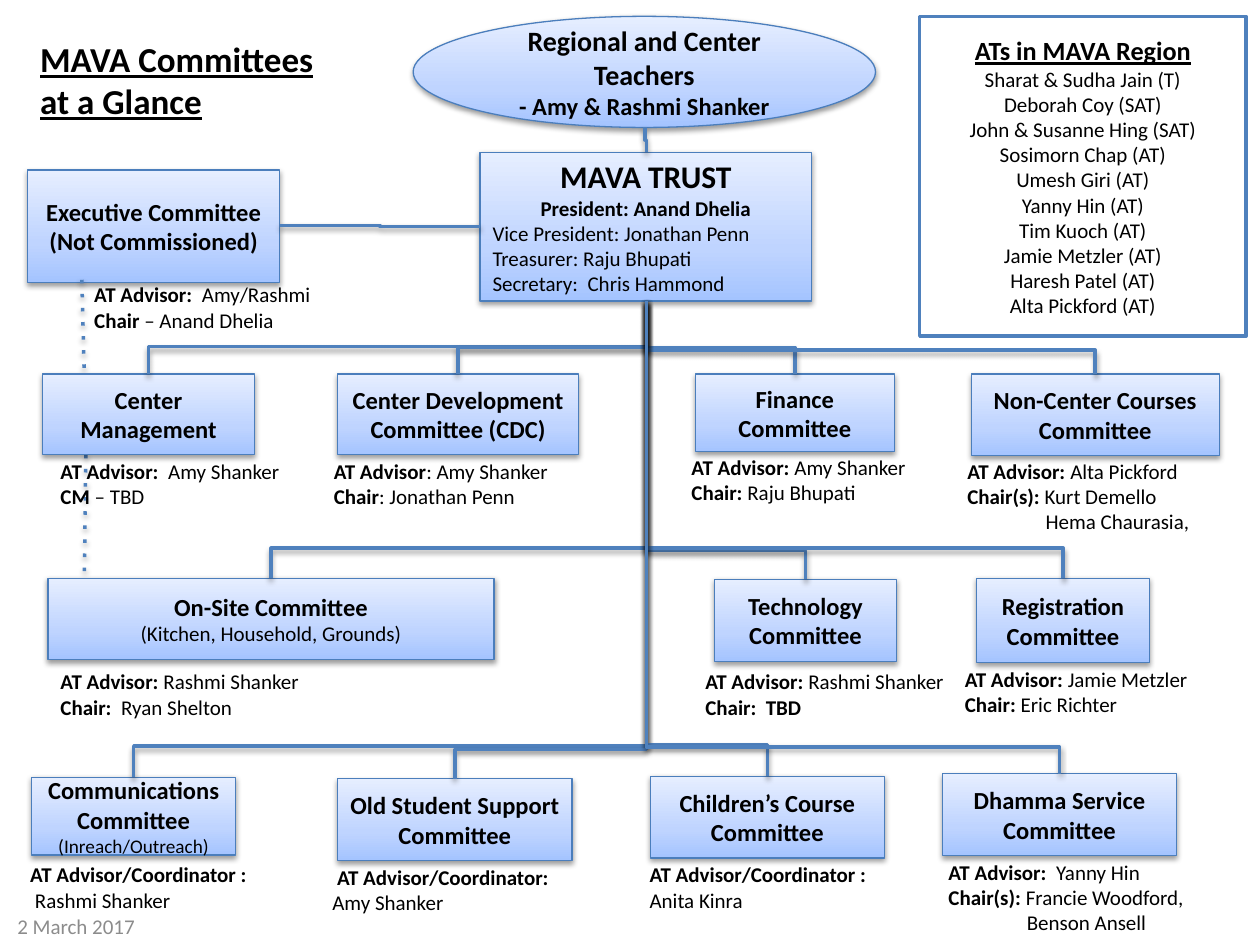
from copy import deepcopy

from lxml.etree import SubElement
from pptx import Presentation
from pptx.dml.color import RGBColor
from pptx.enum.shapes import MSO_CONNECTOR, MSO_SHAPE
from pptx.enum.text import MSO_ANCHOR, PP_ALIGN
from pptx.oxml import parse_xml
from pptx.oxml.ns import nsdecls, qn
from pptx.util import Cm, Pt

BLACK = RGBColor(0x00, 0x00, 0x00)
WHITE = RGBColor(0xFF, 0xFF, 0xFF)
GREY = RGBColor(0x8C, 0x8C, 0x8C)
BLUE = RGBColor(0x4F, 0x81, 0xBD)
EDGE = RGBColor(0x4B, 0x7E, 0xBC)
GRADIENT = ((0, RGBColor(0xA4, 0xC4, 0xFF)), (35, RGBColor(0xBF, 0xD4, 0xFF)),
            (100, RGBColor(0xE6, 0xEE, 0xFF)))

STOPS = "".join(f'<a:gs pos="{pos * 1000}"><a:srgbClr val="{color}"/></a:gs>'
                for pos, color in GRADIENT)
GRAD_FILL = parse_xml(f'<a:gradFill {nsdecls("a")} rotWithShape="1"><a:gsLst>{STOPS}</a:gsLst>'
                      '<a:lin ang="16200000" scaled="0"/></a:gradFill>')
SHADOW = parse_xml(f'<a:effectLst {nsdecls("a")}><a:outerShdw blurRad="40000" dist="20000" '
                   'dir="5400000" rotWithShape="0"><a:srgbClr val="000000">'
                   '<a:alpha val="38000"/></a:srgbClr></a:outerShdw></a:effectLst>')

TRUNK_X, TRUNK_Y = 13.03, 6.07
INDENT = 1.58

ADVISOR, COORDINATOR = "AT Advisor: ", "AT Advisor/Coordinator"
# box, lines, rise of the branch above the box, notes (dx, dy from box bottom, width), note lines
COMMITTEES = [
    ((0.86, 7.54, 4.27, 1.63), ["Center Management"], 0.55, (0.11, -0.05, 5.03),
     [(ADVISOR, " Amy Shanker"), ("CM", " – TBD")]),
    ((6.81, 7.54, 4.85, 1.63), ["Center Development Committee (CDC)"], 0.53, (-0.33, -0.05, 5.89),
     [("AT Advisor", ": Amy Shanker"), ("Chair", ": Jonathan Penn")]),
    ((14.02, 7.54, 4.01, 1.57), ["Finance Committee"], 0.53, (-0.33, -0.07, 4.93),
     [(ADVISOR, "Amy Shanker"), ("Chair: ", "Raju Bhupati")]),
    ((19.58, 7.54, 5.0, 1.65), ["Non-Center Courses Committee"], 0.48, (-0.33, -0.07, 5.59),
     [(ADVISOR, "Alta Pickford"), ("Chair(s): ", "Kurt Demello"), (None, "Hema Chaurasia,")]),
    ((0.97, 11.66, 8.99, 1.63), ["On-Site Committee", ("(Kitchen, Household, Grounds)", 12)],
     0.61, (0, 0.07, 5.89), [(ADVISOR, "Rashmi Shanker"), ("Chair:  ", "Ryan Shelton")]),
    ((14.4, 11.68, 3.68, 1.65), ["Technology Committee"], 0.58, (-0.43, 0.03, 5.41),
     [(ADVISOR, "Rashmi Shanker"), ("Chair:  TBD", "")]),
    ((19.69, 11.66, 3.48, 1.7), ["Registration Committee"], 0.61, (-0.49, -0.05, 5.64),
     [(ADVISOR, "Jamie Metzler"), ("Chair: ", "Eric Richter")]),
    ((0.64, 15.67, 4.11, 1.57), ["Communications Committee", ("(Inreach/Outreach)", 11)],
     0.63, (-0.28, 0.01, 4.98), [(COORDINATOR + " :", ""), ("", " Rashmi Shanker")]),
    ((6.81, 15.7, 4.72, 1.65), ["Old Student Support Committee"], 0.59, (-0.36, -0.05, 4.98),
     [(" " + COORDINATOR + ":", ""), ("", "Amy Shanker")]),
    ((13.11, 15.65, 4.72, 1.65), ["Children’s Course Committee"], 0.64, (-0.36, -0.05, 5.05),
     [(" " + COORDINATOR + " :", ""), ("", " Anita Kinra")]),
    ((19.0, 15.6, 4.72, 1.65), ["Dhamma Service Committee"], 0.54, (-0.13, -0.05, 5.41),
     [(ADVISOR, " Yanny Hin"), ("Chair(s): ", "Francie Woodford,"), (None, "Benson Ansell")]),
]
TEACHERS = ["Sharat & Sudha Jain (T)", "Deborah Coy (SAT)", "John & Susanne Hing (SAT)",
            "Sosimorn Chap (AT)", "Umesh Giri (AT)", "Yanny Hin (AT)", "Tim Kuoch (AT)",
            "Jamie Metzler (AT)", "Haresh Patel (AT)", "Alta Pickford (AT)"]


def add_run(p, text, size, bold=False, underline=False, color=BLACK):
    """Add one formatted run to a paragraph."""
    r = p.add_run()
    r.text = text
    r.font.name, r.font.size = "Calibri", Pt(size)
    r.font.bold, r.font.underline = bold, underline
    r.font.color.rgb = color


def paragraphs(tf, count):
    """Yield count paragraphs of a text frame, starting with its first."""
    for i in range(count):
        yield tf.add_paragraph() if i else tf.paragraphs[0]


def add_panel(s, box, lines, shape=MSO_SHAPE.RECTANGLE, plain=False):
    """Draw a shape with lines of (text, size, bold, underline, align)."""
    sp = s.shapes.add_shape(shape, *map(Cm, box))
    sp.shadow.inherit = False
    sp.line.color.rgb = BLUE if plain else EDGE
    sp.line.width = Pt(2 if plain else 0.75)
    if plain:
        sp.fill.solid()
        sp.fill.fore_color.rgb = WHITE
    else:
        spPr = sp._element.spPr
        spPr.insert(2, deepcopy(GRAD_FILL))
        spPr.replace(spPr.find(qn("a:effectLst")), deepcopy(SHADOW))
    tf = sp.text_frame
    tf.word_wrap, tf.vertical_anchor = True, MSO_ANCHOR.MIDDLE
    for p, (text, size, bold, underline, align) in zip(paragraphs(tf, len(lines)), lines):
        p.alignment = align
        add_run(p, text, size, bold, underline)


def line(text, size=14, bold=True, underline=False, align=PP_ALIGN.CENTER):
    """Return a panel line with the usual heading style."""
    return text, size, bold, underline, align


def add_text(s, box, lines, anchor=MSO_ANCHOR.TOP, **style):
    """Place a text box whose lines share one style."""
    tf = s.shapes.add_textbox(*map(Cm, box)).text_frame
    tf.word_wrap, tf.vertical_anchor = True, anchor
    for p, text in zip(paragraphs(tf, len(lines)), lines):
        add_run(p, text, **style)


def add_notes(s, x, y, w, notes):
    """Place notes with a bold label and plain value; label None indents the line."""
    tf = s.shapes.add_textbox(Cm(x), Cm(y), Cm(w), Cm(0.5 * len(notes) + 0.28)).text_frame
    tf.word_wrap = True
    for p, (label, value) in zip(paragraphs(tf, len(notes)), notes):
        if label is None:
            p._p.get_or_add_pPr().set("marL", str(Cm(INDENT)))
        for text, bold in ((label, True), (value, False)):
            if text:
                add_run(p, text, 12, bold)


def add_link(s, kind, x1, y1, x2, y2, dotted=False):
    """Draw a blue shadowed connector."""
    c = s.shapes.add_connector(kind, Cm(x1), Cm(y1), Cm(x2), Cm(y2))
    c.line.color.rgb, c.line.width = BLUE, Pt(2)
    spPr = c._element.spPr
    if dotted:
        SubElement(spPr.find(qn("a:ln")), qn("a:prstDash")).set("val", "dot")
    spPr.append(deepcopy(SHADOW))
    return c


def add_branch(s, x1, y1, x2, y2, rise):
    """Draw an elbow that runs down, across at rise above its end, and down."""
    drop, cx, cy = y2 - y1, (x1 + x2) / 2, (y1 + y2) / 2
    right = x2 > x1
    half = -drop / 2 if right else drop / 2
    reach = abs(x2 - x1) / 2
    c = add_link(s, MSO_CONNECTOR.ELBOW, cx - half, cy - reach, cx + half, cy + reach)
    spPr = c._element.spPr
    spPr.find(qn("a:xfrm")).set("rot", "16200000" if right else "5400000")
    guide = SubElement(spPr.find(qn("a:prstGeom")).find(qn("a:avLst")), qn("a:gd"))
    guide.set("name", "adj1")
    guide.set("fmla", f"val {round((1 - rise / drop) * 100000)}")


def add_committee(s, box, lines, rise, offset, notes):
    """Draw a committee box with its branch from the trunk and its notes."""
    x, y, w, h = box
    dx, dy, note_w = offset
    add_panel(s, box, [line(t) if isinstance(t, str) else line(*t, bold=False) for t in lines])
    add_branch(s, TRUNK_X, TRUNK_Y, x + w / 2, y, rise)
    add_notes(s, x + dx, y + h + dy, note_w, notes)


def add_leadership(s):
    """Draw the teachers, the trust and the executive committee."""
    add_panel(s, (9.68, 3.07, 6.68, 3.0),
              [line("MAVA TRUST", 18), line("President: Anand Dhelia", 12)]
              + [line(t, 12, False, align=PP_ALIGN.LEFT) for t in (
                  "Vice President: Jonathan Penn", "Treasurer: Raju Bhupati",
                  "Secretary:  Chris Hammond")])
    add_panel(s, (0.56, 3.43, 5.08, 2.26),
              [line("Executive Committee"), line("(Not Commissioned)")])
    add_link(s, MSO_CONNECTOR.ELBOW, 9.68, 4.57, 5.64, 4.55)
    for ends in ((1.73, 9.17, 1.7, 11.68), (1.65, 5.64, 1.7, 7.62)):
        add_link(s, MSO_CONNECTOR.STRAIGHT, *ends, dotted=True)
    add_notes(s, 1.65, 5.56, 5.05, [(ADVISOR, " Amy/Rashmi"), ("Chair", " – Anand Dhelia")])
    add_panel(s, (8.33, 0.33, 9.32, 2.24), [line("Regional and Center Teachers", 16),
                                           line("- Amy & Rashmi Shanker")], MSO_SHAPE.OVAL)
    add_branch(s, 13.0, 2.57, TRUNK_X, 3.07, 0.25)


def build():
    """Build the slide and save it."""
    prs = Presentation()
    prs.slide_width, prs.slide_height = Cm(25.4), Cm(19.05)
    s = prs.slides.add_slide(prs.slide_layouts[6])
    add_leadership(s)
    for committee in COMMITTEES:
        add_committee(s, *committee)
    add_panel(s, (18.54, 0.33, 6.58, 6.45), [line("ATs in MAVA Region", 15, underline=True)]
              + [line(t, 12, False) for t in TEACHERS], plain=True)
    add_text(s, (0.56, 0.64, 6.15, 1.96), ["MAVA Committees", "at a Glance"],
             size=20, bold=True, underline=True)
    add_text(s, (0.1, 18.16, 5.92, 1.02), ["2 March 2017"], MSO_ANCHOR.MIDDLE,
             size=12, color=GREY)
    prs.save("out.pptx")


build()
